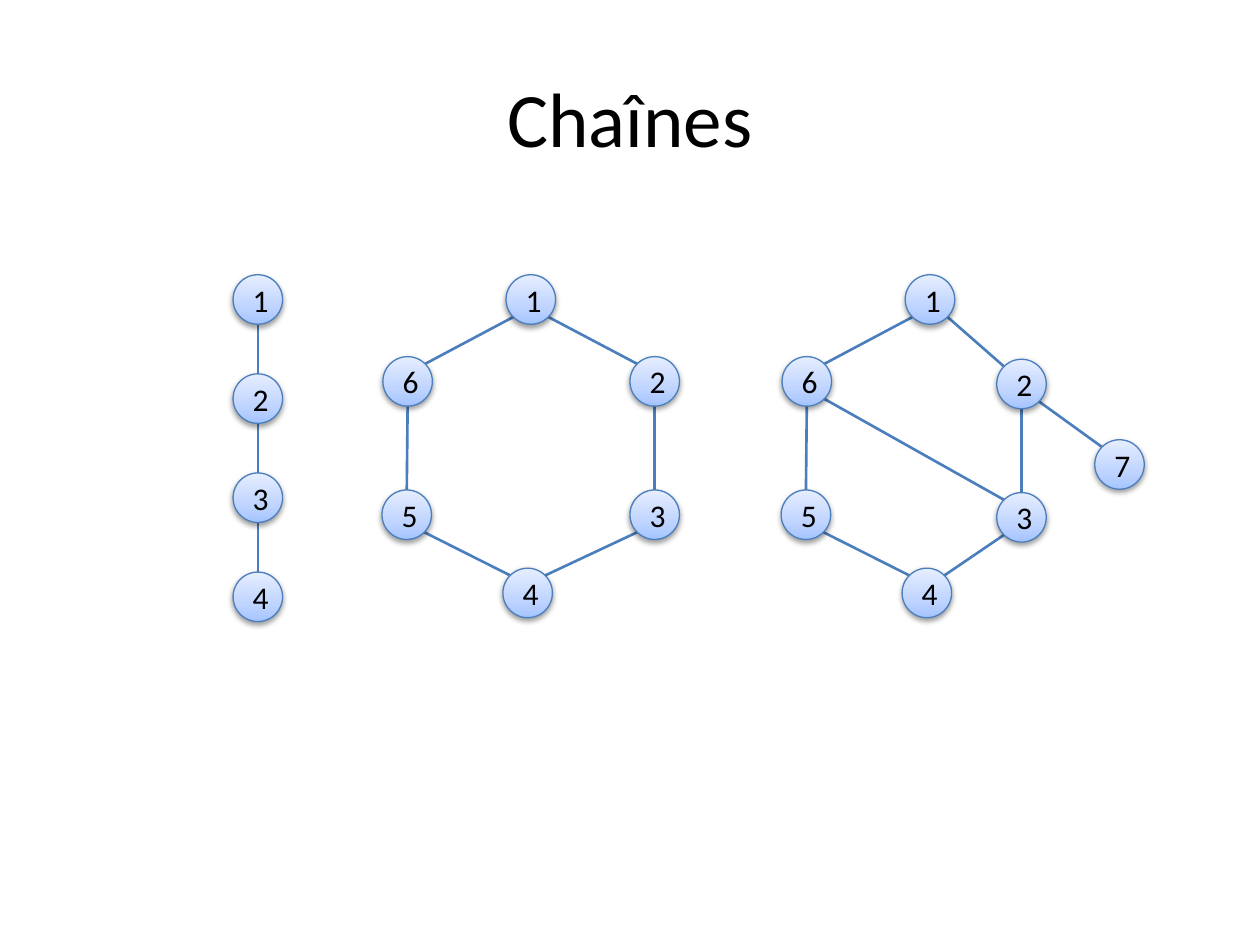
import copy
import math
from dataclasses import dataclass

from lxml import etree
from pptx import Presentation
from pptx import util as u
from pptx.dml.color import RGBColor
from pptx.enum import shapes, text
from pptx.oxml.ns import qn


@dataclass(frozen=True)
class Theme:
    font: str = "Calibri"
    ink: str = "000000"
    edge: str = "4B7EBC"
    node_stops: tuple = ((0, "A4C4FF"), (0.35, "BFD4FF"), (1, "E6EEFF"))
    title_size: float = 44
    label_size: float = 18
    outline: float = 0.75
    edge_width: float = 1.5
    diameter: float = 28.3


class GraphPage:
    def __init__(self, page, theme):
        self.page = page
        self.theme = theme

    def label(self, box, words, size):
        frame = box.text_frame
        frame.word_wrap = True
        frame.vertical_anchor = text.MSO_ANCHOR.MIDDLE
        para = frame.paragraphs[0]
        para.alignment = text.PP_ALIGN.CENTER
        span = para.add_run()
        span.text = words
        span.font.name = self.theme.font
        span.font.size = u.Pt(size)
        span.font.color.rgb = RGBColor.from_string(self.theme.ink)

    def title(self, words, left, top, width, height):
        box = self.page.shapes.add_textbox(*map(u.Pt, (left, top, width, height)))
        self.label(box, words, self.theme.title_size)

    def shade(self, node):
        node.fill.gradient()
        node.fill.gradient_angle = 90
        stop_list = node._element.spPr.find(qn("a:gradFill")).find(qn("a:gsLst"))
        stop_list.append(copy.deepcopy(stop_list[0]))
        for stop, (position, color) in zip(node.fill.gradient_stops, self.theme.node_stops):
            stop.position = position
            stop.color.rgb = RGBColor.from_string(color)

    def drop_shadow(self, node):
        node.shadow.inherit = False
        effects = node._element.spPr.find(qn("a:effectLst"))
        shadow = etree.SubElement(
            effects, qn("a:outerShdw"), blurRad=str(u.Pt(3.1)),
            dist=str(u.Pt(1.6)), dir="5400000", rotWithShape="0")
        color = etree.SubElement(shadow, qn("a:srgbClr"), val=self.theme.ink)
        etree.SubElement(color, qn("a:alpha"), val="38000")

    def node(self, name, left, top):
        size = self.theme.diameter
        node = self.page.shapes.add_shape(
            shapes.MSO_SHAPE.OVAL, *map(u.Pt, (left, top, size, size)))
        self.shade(node)
        node.line.color.rgb = RGBColor.from_string(self.theme.edge)
        node.line.width = u.Pt(self.theme.outline)
        self.drop_shadow(node)
        self.label(node, name, self.theme.label_size)

    def edge(self, start, end):
        radius = self.theme.diameter / 2
        octant = math.pi / 4
        angle = math.atan2(end[1] - start[1], end[0] - start[0])
        angle = round(angle / octant) * octant
        dx, dy = radius * math.cos(angle), radius * math.sin(angle)
        ends = (start[0] + radius + dx, start[1] + radius + dy,
                end[0] + radius - dx, end[1] + radius - dy)
        line = self.page.shapes.add_connector(
            shapes.MSO_CONNECTOR.STRAIGHT, *map(u.Pt, ends))
        line.line.color.rgb = RGBColor.from_string(self.theme.edge)
        line.line.width = u.Pt(self.theme.edge_width)
        etree.SubElement(line._element.spPr, qn("a:effectLst"))

    def graph(self, nodes, edges):
        for start, end in edges:
            self.edge(nodes[start], nodes[end])
        for name, (left, top) in nodes.items():
            self.node(str(name), left, top)


deck = Presentation()
deck.slide_width, deck.slide_height = u.Pt(720), u.Pt(540)
page = GraphPage(deck.slides.add_slide(deck.slide_layouts[6]), Theme())

page.title("Chaînes", 36, 21.6, 648, 90)

chain = {i + 1: (133.2, 157 + 56.64 * i) for i in range(4)}
page.graph(chain, [(1, 2), (2, 3), (3, 4)])

cycle = {
    1: (289.2, 157),
    2: (360, 203.8),
    3: (360, 280),
    4: (287.4, 324.7),
    5: (218.3, 280),
    6: (218.8, 203.8),
}
ring = [(1, 2), (2, 3), (3, 4), (1, 6), (6, 5), (5, 4)]
page.graph(cycle, ring)

branched = {name: (left + 228.1, top) for name, (left, top) in cycle.items()}
branched.update({2: (569.6, 205.3), 3: (569.6, 281.5), 7: (625.6, 251.3)})
page.graph(branched, ring + [(6, 3), (2, 7)])

deck.save("out.pptx")
